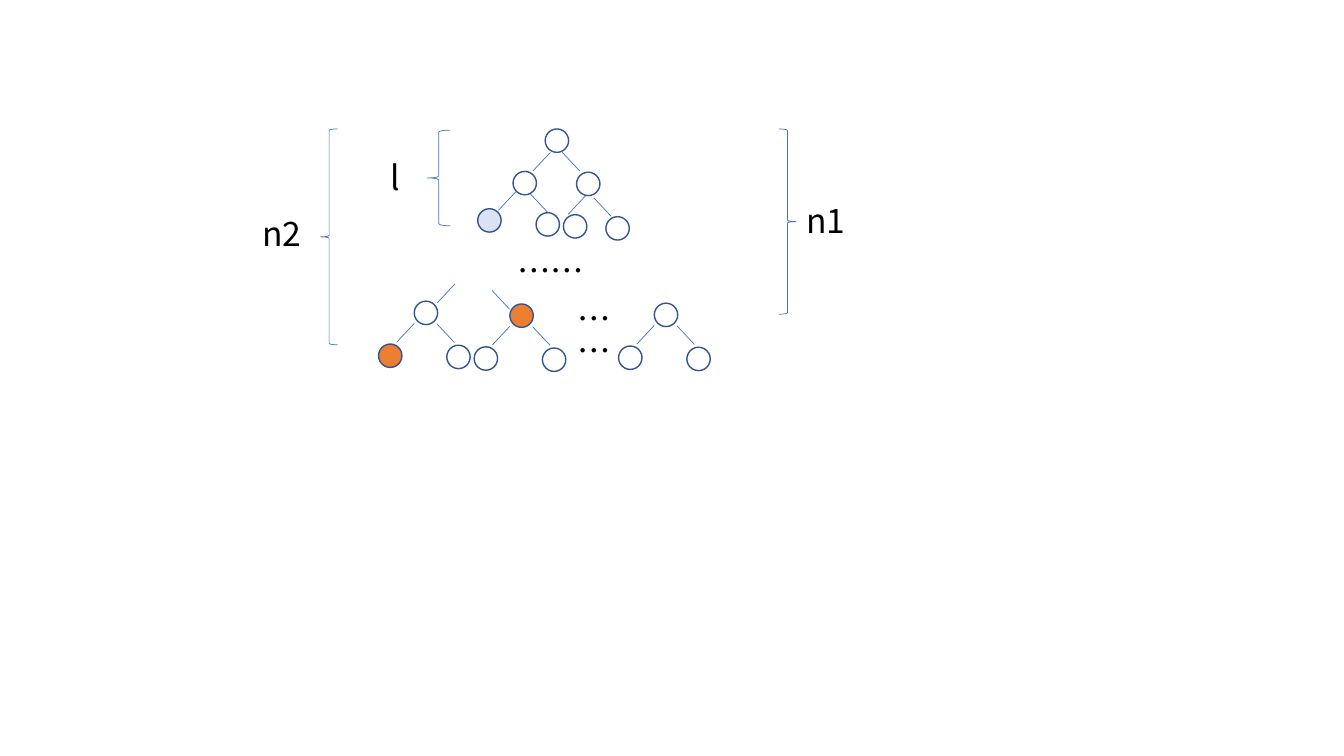
from typing import NamedTuple

from lxml import etree
from pptx import Presentation
from pptx.dml.color import RGBColor
from pptx.enum.shapes import MSO_CONNECTOR, MSO_SHAPE
from pptx.enum.text import MSO_ANCHOR, PP_ALIGN
from pptx.oxml.ns import qn
from pptx.slide import Slide
from pptx.util import Cm, Pt

CIRCLE = MSO_SHAPE.OVAL
LEFT_BRACE = MSO_SHAPE.LEFT_BRACE
RIGHT_BRACE = MSO_SHAPE.RIGHT_BRACE
STRAIGHT = MSO_CONNECTOR.STRAIGHT
CENTER = PP_ALIGN.CENTER
MIDDLE = MSO_ANCHOR.MIDDLE

BLACK = RGBColor(0x00, 0x00, 0x00)
WHITE = RGBColor(0xFF, 0xFF, 0xFF)
BLUE = RGBColor(0x44, 0x72, 0xC4)
DARK_BLUE = RGBColor(0x32, 0x54, 0x91)
PALE_BLUE = RGBColor(0xDA, 0xE3, 0xF3)
ORANGE = RGBColor(0xED, 0x7D, 0x31)

FONT = "Noto Sans CJK SC"
DIAMETER = 0.59
EDGE_WIDTH, EDGE_HEIGHT = 0.44, 0.47
LABEL_HEIGHT = 1.12
LEFT, RIGHT = -1, 1


# All lengths below are in centimetres
class Node(NamedTuple):
    left: float
    top: float
    fill: RGBColor = WHITE


class Edge(NamedTuple):
    x: float
    y: float
    side: int


class Subtree(NamedTuple):
    parent: Node
    left_fill: RGBColor = WHITE


class Brace(NamedTuple):
    shape: MSO_SHAPE
    left: float
    top: float
    width: float
    height: float


class Label(NamedTuple):
    text: str
    left: float
    top: float
    width: float = 1.7


TOP_NODES = [
    Node(13.74, 3.25),
    Node(12.93, 4.32), Node(14.53, 4.34),
    Node(12.04, 5.26, PALE_BLUE), Node(13.51, 5.36),
    Node(14.2, 5.41), Node(15.27, 5.46),
]
TOP_EDGES = [
    Edge(13.87, 3.84, LEFT), Edge(14.17, 3.84, RIGHT),
    Edge(13, 4.83, LEFT), Edge(13.36, 4.88, RIGHT),
    Edge(14.76, 4.93, LEFT), Edge(14.96, 4.98, RIGHT),
]
INCOMING_EDGES = [Edge(11.46, 7.16, LEFT), Edge(12.4, 7.32, RIGHT)]
SUBTREES = [
    Subtree(Node(10.44, 7.59), ORANGE),
    Subtree(Node(12.85, 7.66, ORANGE)),
    Subtree(Node(16.49, 7.64)),
]
BRACES = [
    Brace(RIGHT_BRACE, 19.63, 3.25, 0.43, 4.67),
    Brace(LEFT_BRACE, 8.08, 3.25, 0.43, 5.44),
    Brace(LEFT_BRACE, 10.77, 3.28, 0.58, 2.41),
]
LABELS = [
    Label("……", 12.4, 6.38, 2.97),
    Label("……", 14.1, 7.57, 1.75),
    Label("n1", 19.96, 5.08),
    Label("n2", 6.25, 5.41),
    Label("l", 9.12, 3.99),
]


def draw_edge(page: Slide, edge: Edge) -> None:
    line = page.shapes.add_connector(
        STRAIGHT, Cm(edge.x), Cm(edge.y),
        Cm(edge.x + edge.side * EDGE_WIDTH), Cm(edge.y + EDGE_HEIGHT))
    line.line.color.rgb = BLUE
    line.line.width = Pt(0.5)
    etree.SubElement(line._element.spPr, qn("a:effectLst"))


def draw_node(page: Slide, node: Node) -> None:
    circle = page.shapes.add_shape(
        CIRCLE, Cm(node.left), Cm(node.top), Cm(DIAMETER), Cm(DIAMETER))
    circle.shadow.inherit = False
    circle.fill.solid()
    circle.fill.fore_color.rgb = node.fill
    circle.line.color.rgb = DARK_BLUE
    circle.line.width = Pt(1)


def draw_subtree(page: Slide, subtree: Subtree) -> None:
    parent = subtree.parent
    draw_edge(page, Edge(parent.left, parent.top + 0.56, LEFT))
    draw_edge(page, Edge(parent.left + 0.57, parent.top + 0.57, RIGHT))
    draw_node(page, parent)
    draw_node(page, Node(parent.left - 0.9, parent.top + 1.08, subtree.left_fill))
    draw_node(page, Node(parent.left + 0.82, parent.top + 1.11))


def draw_brace(page: Slide, brace: Brace) -> None:
    shape = page.shapes.add_shape(
        brace.shape, Cm(brace.left), Cm(brace.top),
        Cm(brace.width), Cm(brace.height))
    shape.shadow.inherit = False
    shape.fill.background()
    shape.line.color.rgb = BLUE
    shape.line.width = Pt(0.5)


def draw_label(page: Slide, label: Label) -> None:
    box = page.shapes.add_textbox(
        Cm(label.left), Cm(label.top), Cm(label.width), Cm(LABEL_HEIGHT))
    frame = box.text_frame
    frame.word_wrap = True
    # The two-line label starts at the top of its box and runs below it
    if label.text != "……":
        frame.vertical_anchor = MIDDLE
    para = frame.paragraphs[0]
    para.alignment = CENTER
    para.line_spacing = 0.8
    para.space_before = Pt(10)
    span = para.add_run()
    span.text = label.text
    span.font.name = FONT
    span.font.size = Pt(24)
    span.font.color.rgb = BLACK
    east_asian = etree.SubElement(span.font._element, qn("a:ea"))
    east_asian.set("typeface", FONT)


def main() -> None:
    deck = Presentation()
    deck.slide_width, deck.slide_height = Cm(33.87), Cm(19.05)
    page = deck.slides.add_slide(deck.slide_layouts[6])

    # Top of the tree
    for edge in TOP_EDGES + INCOMING_EDGES:
        draw_edge(page, edge)
    for node in TOP_NODES:
        draw_node(page, node)

    # Bottom levels
    for subtree in SUBTREES:
        draw_subtree(page, subtree)

    # Height braces and labels
    for brace in BRACES:
        draw_brace(page, brace)
    for label in LABELS:
        draw_label(page, label)

    deck.save("out.pptx")


if __name__ == "__main__":
    main()
